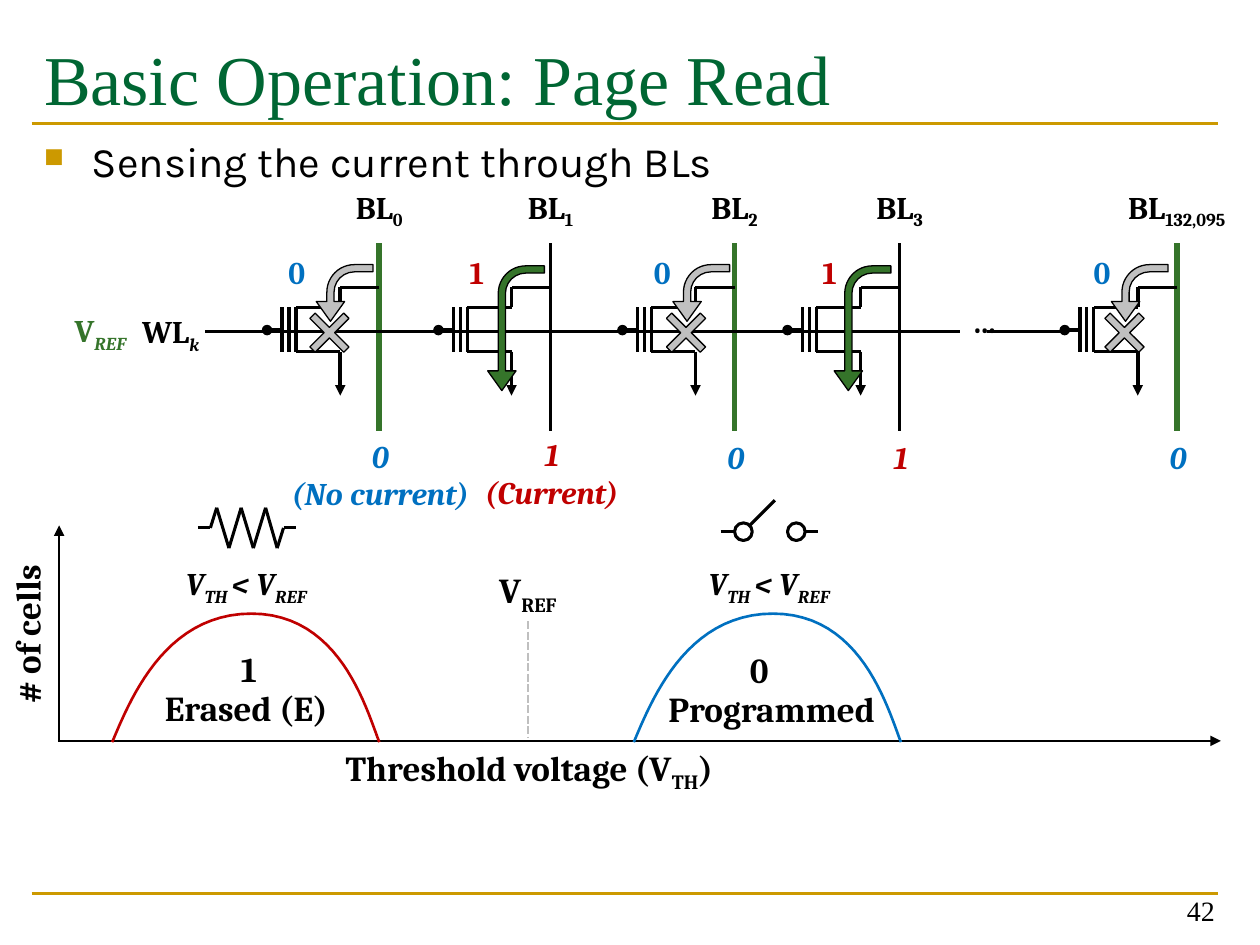
from itertools import pairwise
from lxml import etree
from pptx import Presentation
from pptx.dml.color import RGBColor
from pptx.enum.dml import MSO_LINE
from pptx.enum.shapes import MSO_CONNECTOR, MSO_SHAPE
from pptx.enum.text import MSO_ANCHOR, MSO_AUTO_SIZE, PP_ALIGN
from pptx.oxml.ns import qn
from pptx.util import Inches, Pt

BLACK = RGBColor(0, 0, 0)
WHITE = RGBColor(0xFF, 0xFF, 0xFF)
GOLD = RGBColor(0xCC, 0x99, 0x00)
TITLE_GREEN = RGBColor(0x00, 0x66, 0x33)
GREEN = RGBColor(0x35, 0x74, 0x2A)
BLUE = RGBColor(0x00, 0x70, 0xC0)
RED = RGBColor(0xC0, 0x00, 0x00)
SILVER = RGBColor(0xC0, 0xC0, 0xC0)
DASH_GRAY = RGBColor(0xBF, 0xBF, 0xBF)

LEFT, CENTER, RIGHT = PP_ALIGN.LEFT, PP_ALIGN.CENTER, PP_ALIGN.RIGHT
TOP, MIDDLE, BOTTOM = MSO_ANCHOR.TOP, MSO_ANCHOR.MIDDLE, MSO_ANCHOR.BOTTOM
FIT, NO_FIT = MSO_AUTO_SIZE.SHAPE_TO_FIT_TEXT, MSO_AUTO_SIZE.NONE
STRAIGHT = MSO_CONNECTOR.STRAIGHT
OVAL, BENT_ARROW, CROSS = MSO_SHAPE.OVAL, MSO_SHAPE.BENT_ARROW, MSO_SHAPE.CROSS
RECTANGLE, DASHED = MSO_SHAPE.RECTANGLE, MSO_LINE.SQUARE_DOT

WIDTH, HEIGHT = Inches(10), Inches(7.5)
COLUMNS, ROWS = 100, 75


def col(n):
    return round(WIDTH * n / COLUMNS)


def row(n):
    return round(HEIGHT * n / ROWS)


def write(frame, text, size=18, font="Cambria", color=BLACK, bold=True, italic=False,
          sub_italic=None, align=CENTER, anchor=MIDDLE, wrap=False, fit=FIT, inset=True):
    """Fill a text frame; parts between underscores become subscripts."""
    frame.word_wrap, frame.auto_size, frame.vertical_anchor = wrap, fit, anchor
    if not inset:
        frame.margin_left = frame.margin_right = frame.margin_top = frame.margin_bottom = 0
    paragraph = frame.paragraphs[0]
    paragraph.alignment = align
    for index, part in enumerate(text.split("_")):
        is_sub = index % 2 == 1
        for number, words in enumerate(part.split("\n")):
            if number:
                paragraph.add_line_break()
            if not words:
                continue
            run = paragraph.add_run()
            run.text = words
            run.font.name, run.font.size, run.font.bold = font, Pt(size), bold
            run.font.italic = sub_italic if is_sub and sub_italic is not None else italic
            run.font.color.rgb = color
            if is_sub:
                run._r.get_or_add_rPr().set("baseline", "-25000")
    return paragraph


class Board:
    """Draws on one slide; all positions are grid columns and rows."""

    def __init__(self, slide):
        self.slide = slide
        self.shapes = slide.shapes

    def title(self, text, x, y, w, h, **style):
        title = self.shapes.title
        title.left, title.top, title.width, title.height = col(x), row(y), col(w), row(h)
        title.text_frame.margin_top = row(1.1)
        write(title.text_frame, text, **style)

    def text(self, text, x, y, w, h, rotation=0, **style):
        box = self.shapes.add_textbox(col(x), row(y), col(w), row(h))
        box.rotation = rotation
        return write(box.text_frame, text, **style)

    def label(self, text, center, y, w=3.5, h=4, **style):
        self.text(text, center - w / 2, y, w, h, **style)

    def bullet(self, text, x, y, w, h, **style):
        paragraph = self.text(text, x, y, w, h, **style)
        properties = paragraph._p.get_or_add_pPr()
        properties.set("marL", str(col(3.8)))
        properties.set("indent", str(-col(3.8)))
        color = etree.SubElement(properties, qn("a:buClr"))
        etree.SubElement(color, qn("a:srgbClr"), val=str(GOLD))
        etree.SubElement(properties, qn("a:buSzPct"), val="65000")
        etree.SubElement(properties, qn("a:buChar"), char="■")

    def line(self, x1, y1, x2, y2, color=BLACK, width=2, end=None, dash=None):
        line = self.shapes.add_connector(STRAIGHT, col(x1), row(y1), col(x2), row(y2))
        line.line.color.rgb, line.line.width = color, Pt(width)
        if dash:
            line.line.dash_style = dash
        if end:
            etree.SubElement(line.line._get_or_add_ln(), qn("a:tailEnd"), type=end)
        etree.SubElement(line._element.spPr, qn("a:effectLst"))

    def shape(self, kind, x, y, w, h, fill, width=0.75, rotation=0, flip=False, adjust=()):
        shape = self.shapes.add_shape(kind, col(x), row(y), col(w), row(h))
        shape.shadow.inherit = False
        shape.fill.solid()
        shape.fill.fore_color.rgb = fill
        if width:
            shape.line.color.rgb, shape.line.width = BLACK, Pt(width)
        else:
            shape.line.fill.background()
        shape.rotation = rotation
        if flip:
            shape._element.spPr.xfrm.set("flipH", "1")
        for index, value in enumerate(adjust):
            shape.adjustments[index] = value
        return shape

    def hump(self, x, y, color, steps=24):
        """Draw a bell outline from two cubic curves, starting at its left foot."""
        halves = [((0, 0), (1.3, -3), (4, -10.2), (11.05, -10.2)),
                  ((11.05, -10.2), (18, -10.2), (20.1, -2.9), (21.2, 0))]
        points = []
        for controls in halves:
            for step in range(1, steps + 1):
                t = step / steps
                weights = ((1 - t) ** 3, 3 * t * (1 - t) ** 2, 3 * t * t * (1 - t), t ** 3)
                dx, dy = (sum(k * p[axis] for k, p in zip(weights, controls)) for axis in (0, 1))
                points.append((col(x + dx), row(y + dy)))
        builder = self.shapes.build_freeform(col(x), row(y))
        builder.add_line_segments(points, close=False)
        curve = builder.convert_to_shape()
        curve.shadow.inherit = False
        curve.fill.background()
        curve.line.color.rgb, curve.line.width = color, Pt(1.5)

    def transistor(self, bit_line):
        drain, gate = bit_line - 3.1, bit_line - 6.6
        self.line(bit_line, 22.8, drain, 22.8)
        self.line(drain, 24.4, drain, 22.8)
        for y in (24.4, 27.9):
            self.line(drain, y, gate, y)
        for plate in (gate, gate - 0.55, gate - 1.1):
            self.line(plate, 27.9, plate, 24.4)
        self.line(gate - 1.1, 26.2, gate - 2.3, 26.2, end="oval")
        self.line(drain, 27.9, drain, 31.4, end="triangle")

    def current(self, center, flows):
        """Draw the path of the current: open for a 1, crossed out for a 0."""
        length, middle = (9.9, 26.05) if flows else (4.5, 23.25)
        self.shape(BENT_ARROW, center - length / 2, middle - 2.25, length, 4.5,
                   GREEN if flows else SILVER, rotation=270, flip=True,
                   adjust=(0.128, 0.25, 0.348, 0.486))
        if not flows:
            self.shape(CROSS, center - 3.1, 24.5, 3.8, 3.8, SILVER, rotation=315, adjust=(0.422,))


# bit line name, its column, stored bit, column of the bit, column of the current,
# sensed result, result row, result height
CELLS = [
    ("0", 30.1, "0", 23.55, 27.35, "0\n(No current)", 34.1, 7.1),
    ("1", 43.7, "1", 37.85, 40.95, "1\n(Current)", 34, 7.1),
    ("2", 58.3, "0", 52.55, 55.65, "0", 34.3, 4),
    ("3", 71.4, "1", 65.85, 68.45, "1", 34.3, 4),
    ("132,095", 93.4, "0", 87.45, 90.45, "0", 34.3, 4),
]


def draw_word_line(board):
    for name, x, bit, bit_x, _, sensed, sensed_y, sensed_h in CELLS:
        color = RED if bit == "1" else BLUE
        board.label(f"BL_{name}_", x, 14.6, w=11.4 if len(name) > 1 else 6.1)
        board.line(x, 34.2, x, 19.3, *((BLACK, 2) if bit == "1" else (GREEN, 3.25)))
        board.transistor(x)
        board.label(bit, bit_x, 19.6, color=color)
        width = {"0": 16.2, "1": 12.8}[bit] if "\n" in sensed else 3.5
        board.label(sensed, x + 0.1, sensed_y, w=width, h=sensed_h, color=color, italic=True)
    board.line(16.3, 26.3, 84.2, 26.3)
    gap = board.shape(RECTANGLE, 76.2, 23.7, 2.1, 3.5, WHITE, width=0)
    write(gap.text_frame, "…")
    board.text("WL_k_", 10.1, 24.5, 6.7, 4, align=RIGHT, sub_italic=True)
    board.text("V_REF_", 4.5, 24.4, 6.5, 4, align=RIGHT, sub_italic=True, color=GREEN)
    for _, _, bit, _, flow_x, *_ in CELLS:
        board.current(flow_x, bit == "1")


def draw_distribution(board):
    board.text("# of cells", -3.5, 48.8, 11.3, 3.4, rotation=270, size=20, align=RIGHT,
               anchor=TOP, inset=False)
    board.line(4.7, 58.8, 4.7, 41.7, width=1.5, end="triangle")
    board.line(41.9, 49.3, 41.9, 58.6, DASH_GRAY, 1.5, dash=DASHED)
    board.label("V_REF_", 41.9, 45.3, w=5.2, h=3.4, size=20, wrap=True, inset=False)
    board.label("Threshold voltage (V_TH_)", 42, 59.4, w=49.2, h=3.4, size=20, wrap=True,
                inset=False)
    board.line(4.6, 58.8, 96.9, 58.8, width=1.5, end="triangle")
    states = [(8.9, RED, "1", 19.75, "Erased (E)", 19.55, 54, 19.55),
              (50.3, BLUE, "0", 60.25, "Programmed", 61.25, 54.1, 61.05)]
    for foot, color, bit, bit_x, state, state_x, state_y, condition_x in states:
        board.hump(foot, 58.9, color)
        board.label(state, state_x, state_y, w=21.3, h=4.4, size=20, anchor=TOP, wrap=True)
        board.label(bit, bit_x, state_y - 3.1, w=14.5, h=4.4, size=20, anchor=TOP, wrap=True)
        board.label("V_TH _< V_REF_", condition_x, 44.45, w=12.5, italic=True)


def draw_resistor(board):
    peaks = [(17.2 + 0.97 * i, 43.5 if i % 2 else 40.3) for i in range(6)]
    zigzag = [(15.7, 41.9), (16.7, 41.9), *peaks[:5], (22, 43.5), (22.5, 41.9), (23.5, 41.9)]
    for start, stop in pairwise(zigzag):
        board.line(*start, *stop, width=1.75)


def draw_open_switch(board):
    for x in (58.3, 62.5):
        board.shape(OVAL, x, 41.5, 1.4, 1.4, WHITE, width=1.75, rotation=90)
    for ends in ((59.5, 41.7, 61.5, 39.7), (57.2, 42.2, 58.3, 42.2), (63.9, 42.2, 64.9, 42.2)):
        board.line(*ends, width=1.75)


def main():
    deck = Presentation()
    deck.slide_width, deck.slide_height = WIDTH, HEIGHT
    board = Board(deck.slides.add_slide(deck.slide_layouts[5]))
    for y in (70.9, 9.8):
        board.line(2.5, y, 96.7, y, GOLD, 1.5)
    plain = {"bold": False, "wrap": True, "fit": NO_FIT}
    board.title("Basic Operation: Page Read", 2.5, 1.7, 94.2, 11.7, size=40,
                font="Times New Roman", color=TITLE_GREEN, align=LEFT, anchor=TOP, **plain)
    board.text("42", 74.1, 69.1, 23.3, 5, size=16, font="Times New Roman", align=RIGHT,
               anchor=BOTTOM, **plain)
    board.bullet("Sensing the current through BLs", 2.5, 10.3, 94.2, 60.5, size=24,
                 font="Karla", align=LEFT, anchor=TOP, **plain)
    draw_word_line(board)
    draw_distribution(board)
    draw_resistor(board)
    draw_open_switch(board)
    deck.save("out.pptx")


if __name__ == "__main__":
    main()
